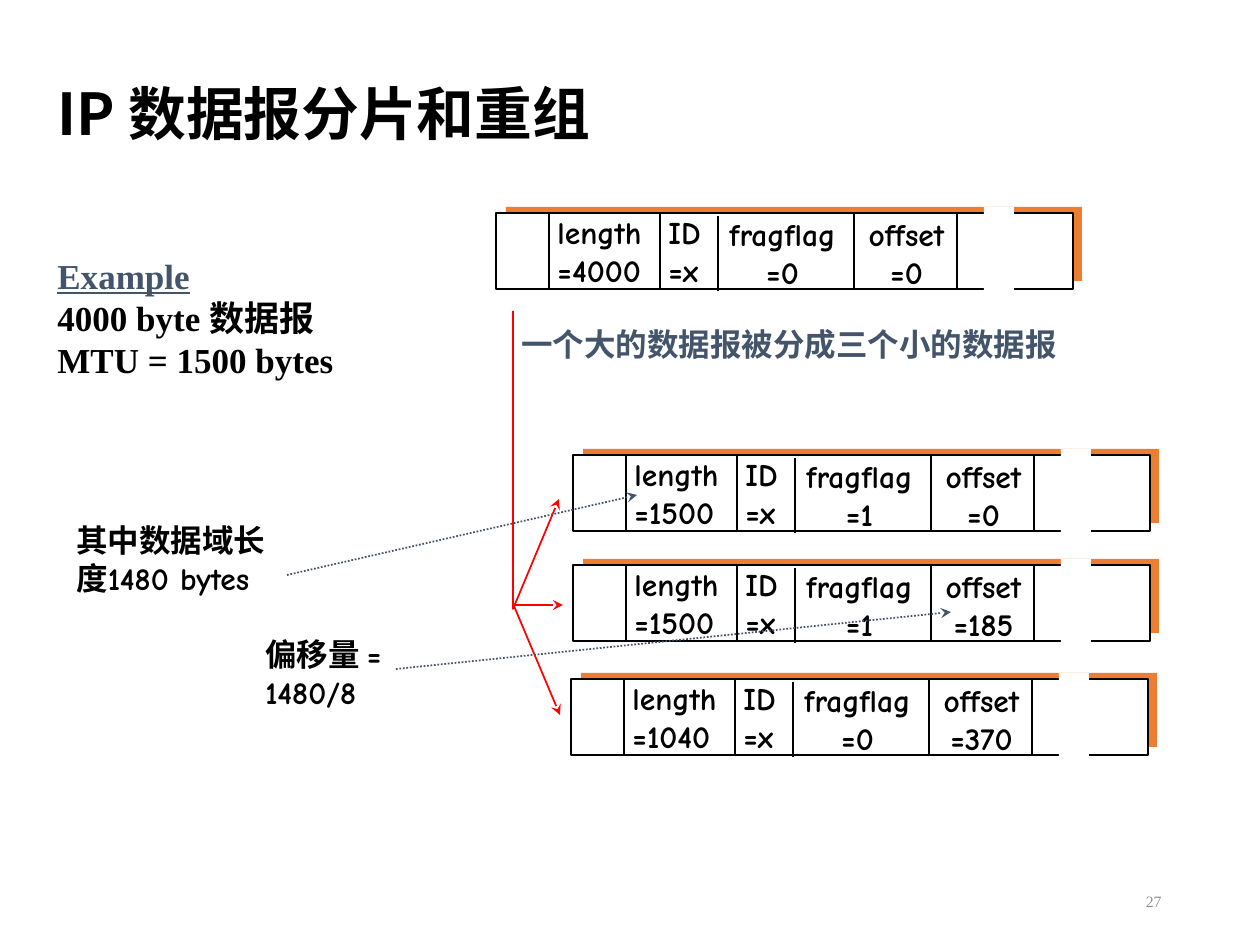
import lxml.etree
import pptx
import pptx.dml.color
import pptx.enum.dml
import pptx.enum.shapes
import pptx.enum.text
import pptx.oxml.ns
import pptx.util

RGB = pptx.dml.color.RGBColor
BLACK = RGB(0x00, 0x00, 0x00)
WHITE = RGB(0xFF, 0xFF, 0xFF)
ORANGE = RGB(0xED, 0x7D, 0x31)
SLATE = RGB(0x44, 0x54, 0x6A)
RED = RGB(0xFF, 0x00, 0x00)
GRAY = RGB(0x91, 0x92, 0x93)
COMIC, SERIF, HAN = "Comic Neue", "Times New Roman", "Noto Sans CJK SC"
LEFT, MID, RIGHT = (pptx.enum.text.PP_ALIGN.LEFT, pptx.enum.text.PP_ALIGN.CENTER,
                    pptx.enum.text.PP_ALIGN.RIGHT)
PX = 914400 / 126
qn = pptx.oxml.ns.qn

deck = pptx.Presentation()
deck.slide_width = round(1260 * PX)
deck.slide_height = round(945 * PX)
slide = deck.slides.add_slide(deck.slide_layouts[5])
shapes = slide.shapes


def write(text, at, box=None, size=18, face=COMIC, color=BLACK, bold=True,
          align=LEFT, wrap=False, middle=False, space=None, lead=None):
    """Put text at a px rectangle; lead is the colour of an underlined first line."""
    spot = [round(v * PX) for v in at]
    if box is None:
        box = shapes.add_textbox(*spot)
    else:
        box.left, box.top, box.width, box.height = spot
    frame = box.text_frame
    frame.text = text
    frame.word_wrap = wrap
    frame.auto_size = pptx.enum.text.MSO_AUTO_SIZE.NONE
    anchor = pptx.enum.text.MSO_ANCHOR
    frame.vertical_anchor = anchor.MIDDLE if middle else anchor.TOP
    for i, para in enumerate(frame.paragraphs):
        para.alignment = align
        if space:
            para.line_spacing = space
        head = lead is not None and i == 0
        for run in para.runs:
            font = run.font
            font.size, font.name, font.bold = pptx.util.Pt(size), face, bold
            font.color.rgb = lead if head else color
            if head:
                font.underline = True
            lxml.etree.SubElement(run._r.get_or_add_rPr(), qn("a:ea"), typeface=HAN)


def draw(points, color=BLACK, dots=False, tip=False):
    """Draw a line through px points: a connector for two, else a freeform."""
    spots = [(round(x * PX), round(y * PX)) for x, y in points]
    if len(spots) == 2:
        kind = pptx.enum.shapes.MSO_CONNECTOR.STRAIGHT
        line = shapes.add_connector(kind, *spots[0], *spots[1])
    else:
        path = shapes.build_freeform(*spots[0])
        path.add_line_segments(spots[1:], close=False)
        line = path.convert_to_shape()
        line.fill.background()
    line.line.color.rgb = color
    line.line.width = pptx.util.Pt(1)
    if dots:
        line.line.dash_style = pptx.enum.dml.MSO_LINE.ROUND_DOT
    props = line._element.spPr
    if tip:
        lxml.etree.SubElement(props.get_or_add_ln(), qn("a:tailEnd"), type="stealth")
    lxml.etree.SubElement(props, qn("a:effectLst"))


# Title and page number
write("IP 数据报分片和重组", (45, 68, 926, 97), box=shapes.title, size=33,
      face=HAN, wrap=True, middle=True, space=0.9)
write("27", (890, 876, 284, 50), size=9, face=SERIF, color=GRAY, bold=False,
      align=RIGHT, wrap=True, middle=True)

# Datagram headers: left, top, length, flag, offset
grams = [
    (496, 213, 4000, 0, 0),
    (573, 455, 1500, 1, 0),
    (573, 565, 1500, 1, 185),
    (571, 679, 1040, 0, 370),
]
for x, y, size, flag, shift in grams:
    # Shade, frame and the gap that breaks the frame
    for dx, dy, w, h, fill, edge in [(10, -6, 576, 74, ORANGE, False),
                                     (0, 0, 577, 76, WHITE, True),
                                     (488, -6, 30, 84, WHITE, False)]:
        rect = shapes.add_shape(pptx.enum.shapes.MSO_SHAPE.RECTANGLE,
                                *[round(v * PX) for v in (x + dx, y + dy, w, h)])
        rect.shadow.inherit = False
        rect.fill.solid()
        rect.fill.fore_color.rgb = fill
        if edge:
            rect.line.color.rgb = BLACK
            rect.line.width = pptx.util.Pt(1)
        else:
            rect.line.fill.background()
    # Fields
    for name, value, dx, dy, w, align in [("ID", "x", 160, -6, 66, LEFT),
                                          ("offset", shift, 350, -4, 121, MID),
                                          ("fragflag", flag, 212, -4, 149, MID),
                                          ("length", size, 49, -6, 122, LEFT)]:
        write(f"{name}\n={value}", (x + dx, y + dy, w, 88), align=align)
    # Dividers
    for dx, dy in [(53, 0), (164, 0), (222, 3), (358, 0), (461, 0)]:
        draw([(x + dx, y + dy), (x + dx, y + dy + 75)])

# Split into three fragments
draw([(513, 311), (513, 609), (559, 499)], RED, tip=True)
draw([(513, 605), (563, 605)], RED, tip=True)
draw([(514, 606), (560, 715)], RED, tip=True)
write("一个大的数据报被分成三个小的数据报", (509, 319, 564, 50), color=SLATE)

# Example and callouts
write("Example\n4000 byte 数据报\nMTU = 1500 bytes", (45, 248, 391, 232),
      size=20, face=SERIF, wrap=True, lead=SLATE)
write("其中数据域长\n度1480 bytes", (64, 515, 232, 88))
draw([(287, 575), (637, 495)], SLATE, dots=True, tip=True)
write("偏移量 =\n1480/8", (253, 629, 154, 88))
draw([(396, 669), (951, 612)], SLATE, dots=True, tip=True)

deck.save("out.pptx")
